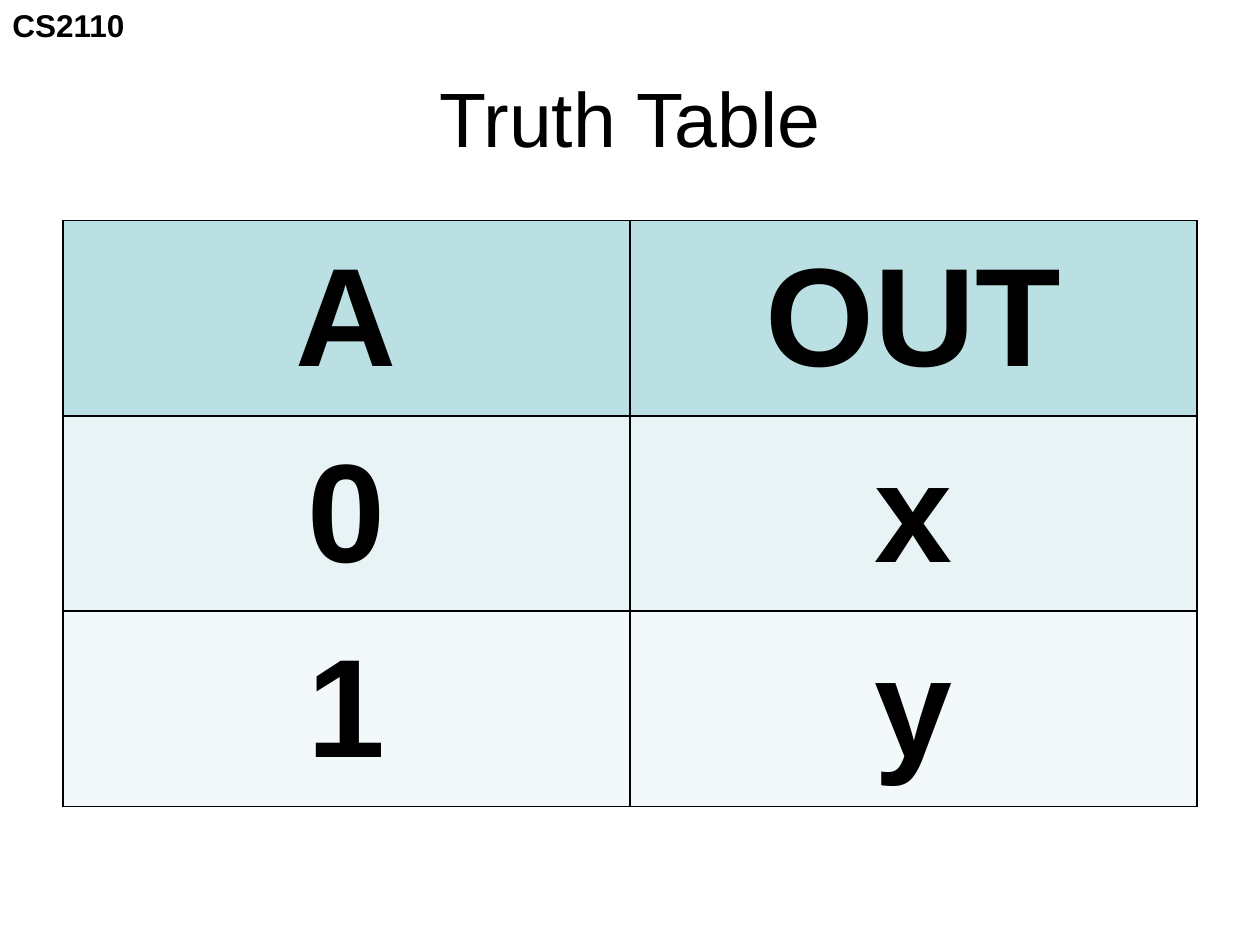
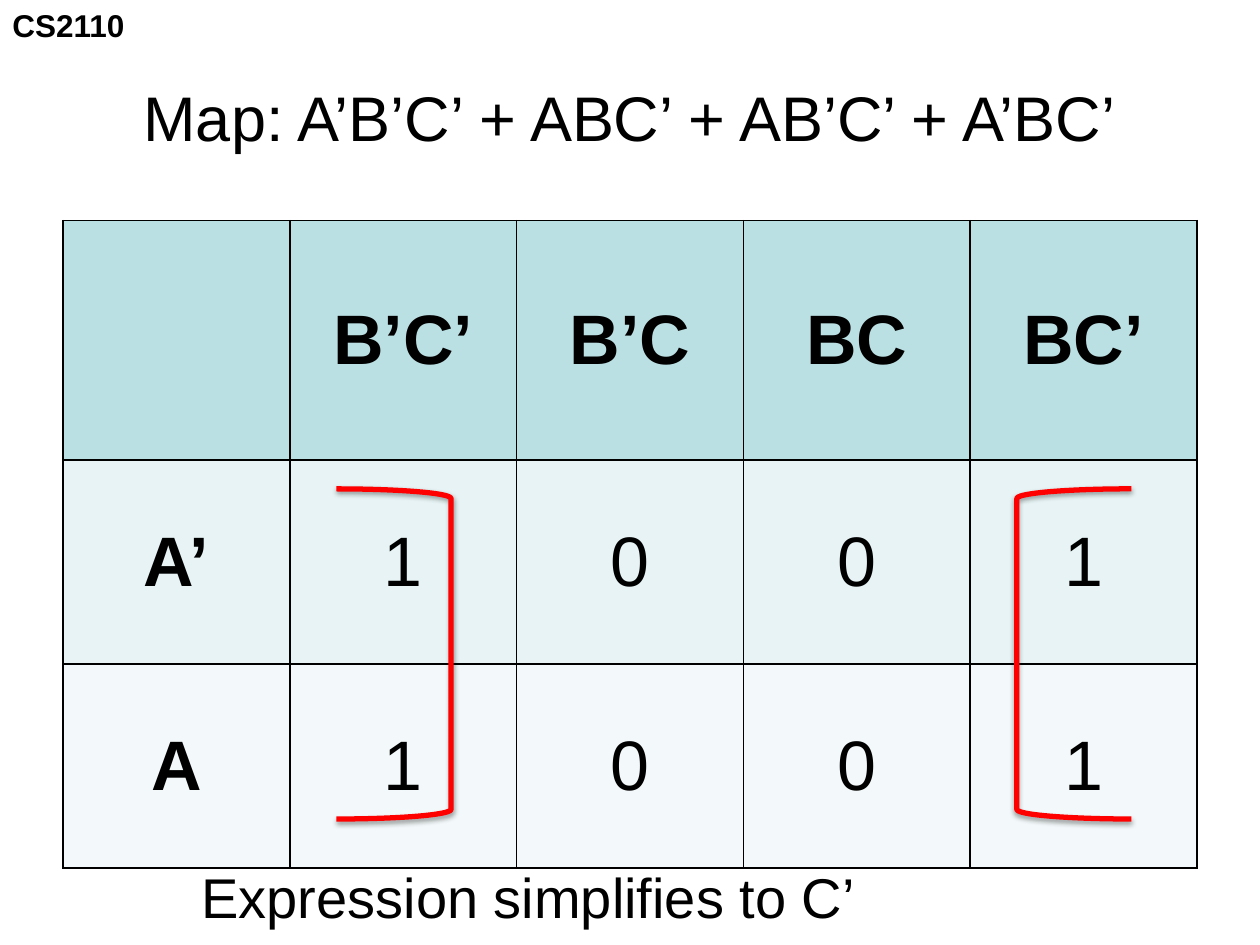
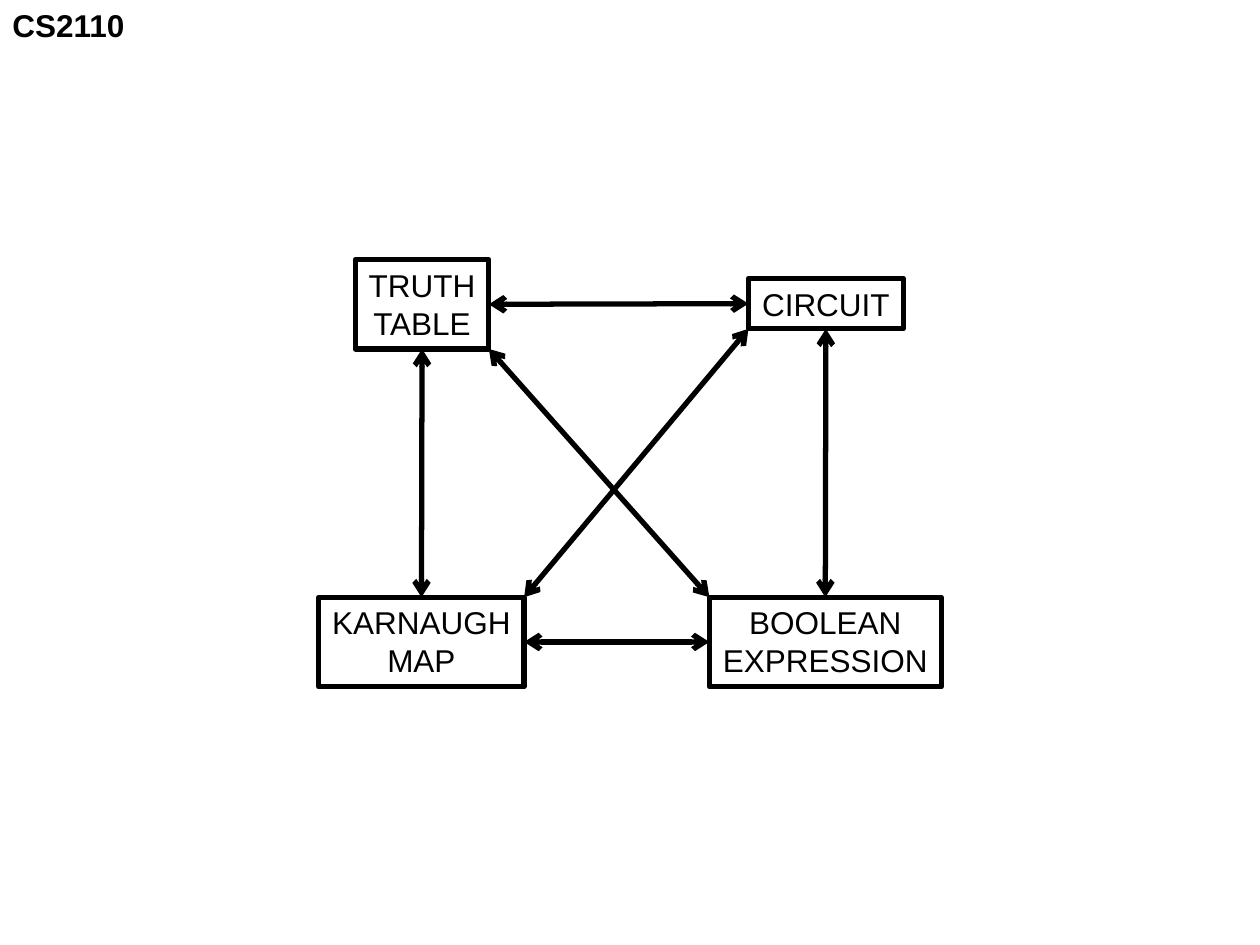
from dataclasses import dataclass
from typing import Any

import lxml.etree
import pptx
import pptx.dml.color
import pptx.enum.shapes
import pptx.enum.text
import pptx.oxml.ns
import pptx.util

Inches = pptx.util.Inches
Pt = pptx.util.Pt
Shape = pptx.enum.shapes.MSO_SHAPE
Align = pptx.enum.text.PP_ALIGN
Anchor = pptx.enum.text.MSO_ANCHOR

FONT = "Arial"
BLACK = "000000"
RED = "FF0000"
HEADER_FILL = "BBE0E3"
ROW_FILLS = [HEADER_FILL, "E7F3F4", "F3F9FA"]
COURSE = "CS2110"
TABLE_LEFT, TABLE_TOP, TABLE_WIDTH = 0.5, 1.75, 9
LINE_WIDTH = 3


@dataclass(frozen=True)
class Area:
    left: float
    top: float
    width: float
    height: float

    def lengths(self) -> list[int]:
        return [Inches(v) for v in (self.left, self.top, self.width, self.height)]

    def point(self, across: float, down: float) -> tuple[int, int]:
        """Place inside the area, as fractions of its width and height."""
        return (Inches(self.left + across * self.width),
                Inches(self.top + down * self.height))


@dataclass(frozen=True)
class Node:
    text: str
    area: Area


@dataclass(frozen=True)
class Link:
    start: str
    start_at: tuple[float, float]
    end: str
    end_at: tuple[float, float]


# Shared helpers
def color(value: str) -> pptx.dml.color.RGBColor:
    return pptx.dml.color.RGBColor.from_string(value)


def add_xml(parent: Any, tag: str, **attributes: str) -> Any:
    return lxml.etree.SubElement(parent, pptx.oxml.ns.qn(tag), attributes)


def set_text(frame: Any, text: str, size: float, bold: bool = False,
             align: Any = Align.LEFT) -> None:
    frame.text = text
    for para in frame.paragraphs:
        para.alignment = align
        for span in para.runs:
            span.font.name = FONT
            span.font.size = Pt(size)
            span.font.bold = bold
            span.font.color.rgb = color(BLACK)


def set_line(line: Any, value: str) -> None:
    line.color.rgb = color(value)
    line.width = Pt(LINE_WIDTH)


def add_label(page: Any, area: Area, text: str, size: float, bold: bool = False) -> None:
    frame = page.shapes.add_textbox(*area.lengths()).text_frame
    frame.word_wrap = False
    frame.auto_size = pptx.enum.text.MSO_AUTO_SIZE.SHAPE_TO_FIT_TEXT
    set_text(frame, text, size, bold)


def add_title(page: Any, text: str, size: float) -> None:
    frame = page.shapes.add_textbox(*Area(0.5, 0.3, 9, 1.25).lengths()).text_frame
    frame.word_wrap = True
    frame.vertical_anchor = Anchor.MIDDLE
    set_text(frame, text, size, align=Align.CENTER)


def add_page(deck: Any) -> Any:
    page = deck.slides.add_slide(deck.slide_layouts[6])
    add_label(page, Area(0, 0, 1.1, 0.4), COURSE, 18, bold=True)
    return page


# Tables
def add_borders(cell: Any) -> None:
    properties = cell._tc.get_or_add_tcPr()
    for side in ("a:lnL", "a:lnR", "a:lnT", "a:lnB"):
        border = add_xml(properties, side, w=str(Pt(1)))
        add_xml(add_xml(border, "a:solidFill"), "a:srgbClr", val=BLACK)


def add_grid(page: Any, rows: list[list[str]], heights: list[float], size: float,
             bold_body: bool) -> None:
    area = Area(TABLE_LEFT, TABLE_TOP, TABLE_WIDTH, sum(heights))
    table = page.shapes.add_table(len(rows), len(rows[0]), *area.lengths()).table
    table.first_row = table.horz_banding = False
    for row_index, texts in enumerate(rows):
        table.rows[row_index].height = Inches(heights[row_index])
        for column_index, text in enumerate(texts):
            cell = table.cell(row_index, column_index)
            add_borders(cell)
            cell.fill.solid()
            cell.fill.fore_color.rgb = color(ROW_FILLS[row_index])
            cell.vertical_anchor = Anchor.MIDDLE
            if text:
                bold = bold_body or row_index == 0 or column_index == 0
                set_text(cell.text_frame, text, size, bold, Align.CENTER)


# Brackets, boxes and arrows
def add_outline(page: Any, kind: Any, area: Area, line_color: str) -> Any:
    shape = page.shapes.add_shape(kind, *area.lengths())
    shape.shadow.inherit = False
    shape.fill.background()
    set_line(shape.line, line_color)
    return shape


def add_bracket(page: Any, kind: Any, left: float) -> None:
    bracket = add_outline(page, kind, Area(left, 3.88, 0.91, 2.62), RED)
    effects = bracket._element.spPr.find(pptx.oxml.ns.qn("a:effectLst"))
    shadow = add_xml(effects, "a:outerShdw", blurRad=str(Pt(3.1)), dist=str(Pt(1.6)),
                     dir="5400000", rotWithShape="0")
    add_xml(add_xml(shadow, "a:srgbClr", val=BLACK), "a:alpha", val="38000")


def add_node(page: Any, node: Node) -> None:
    frame = add_outline(page, Shape.RECTANGLE, node.area, BLACK).text_frame
    frame.word_wrap = False
    frame.auto_size = pptx.enum.text.MSO_AUTO_SIZE.SHAPE_TO_FIT_TEXT
    frame.vertical_anchor = Anchor.TOP
    set_text(frame, node.text, 18, align=Align.CENTER)


def add_arrow(page: Any, start: tuple[int, int], end: tuple[int, int]) -> None:
    arrow = page.shapes.add_connector(
        pptx.enum.shapes.MSO_CONNECTOR.STRAIGHT, *start, *end)
    set_line(arrow.line, BLACK)
    line = arrow.line._get_or_add_ln()
    add_xml(line, "a:headEnd", type="arrow")
    add_xml(line, "a:tailEnd", type="arrow")
    add_xml(arrow._element.spPr, "a:effectLst")


# Slides
def build_truth_table(deck: Any) -> None:
    page = add_page(deck)
    add_title(page, "Truth Table", 44)
    add_grid(page, [["A", "OUT"], ["0", "x"], ["1", "y"]], [1.55] * 3, 80, bold_body=True)


def build_map(deck: Any) -> None:
    page = add_page(deck)
    add_title(page, "Map: A’B’C’ + ABC’ + AB’C’ + A’BC’", 36)
    rows = [["", "B’C’", "B’C", "BC", "BC’"],
            ["A’", "1", "0", "0", "1"],
            ["A", "1", "0", "0", "1"]]
    add_grid(page, rows, [1.9, 1.62, 1.62], 40, bold_body=False)
    add_label(page, Area(1.5, 6.8, 5.42, 0.64), "Expression simplifies to C’", 32)
    add_bracket(page, Shape.LEFT_BRACKET, 8.07)
    add_bracket(page, Shape.RIGHT_BRACKET, 2.67)


def build_conversions(deck: Any) -> None:
    page = add_page(deck)
    nodes = {
        "table": Node("TRUTH\nTABLE", Area(2.82, 2.06, 1.06, 0.71)),
        "circuit": Node("CIRCUIT", Area(5.94, 2.21, 1.23, 0.4)),
        "expression": Node("BOOLEAN\nEXPRESSION", Area(5.63, 4.74, 1.84, 0.71)),
        "map": Node("KARNAUGH\nMAP", Area(2.53, 4.74, 1.63, 0.71)),
    }
    top, bottom, left, right = (0.5, 0), (0.5, 1), (0, 0.5), (1, 0.5)
    links = [
        Link("table", right, "circuit", left),
        Link("circuit", bottom, "expression", top),
        Link("expression", left, "map", right),
        Link("table", bottom, "map", top),
        Link("map", (1, 0), "circuit", (0, 1)),
        Link("table", (1, 1), "expression", (0, 0)),
    ]
    for node in nodes.values():
        add_node(page, node)
    for link in links:
        add_arrow(page, nodes[link.start].area.point(*link.start_at),
                  nodes[link.end].area.point(*link.end_at))


def main() -> None:
    deck = pptx.Presentation()
    deck.slide_width, deck.slide_height = Inches(10), Inches(7.5)
    build_truth_table(deck)
    build_map(deck)
    build_conversions(deck)
    deck.save("out.pptx")


if __name__ == "__main__":
    main()
